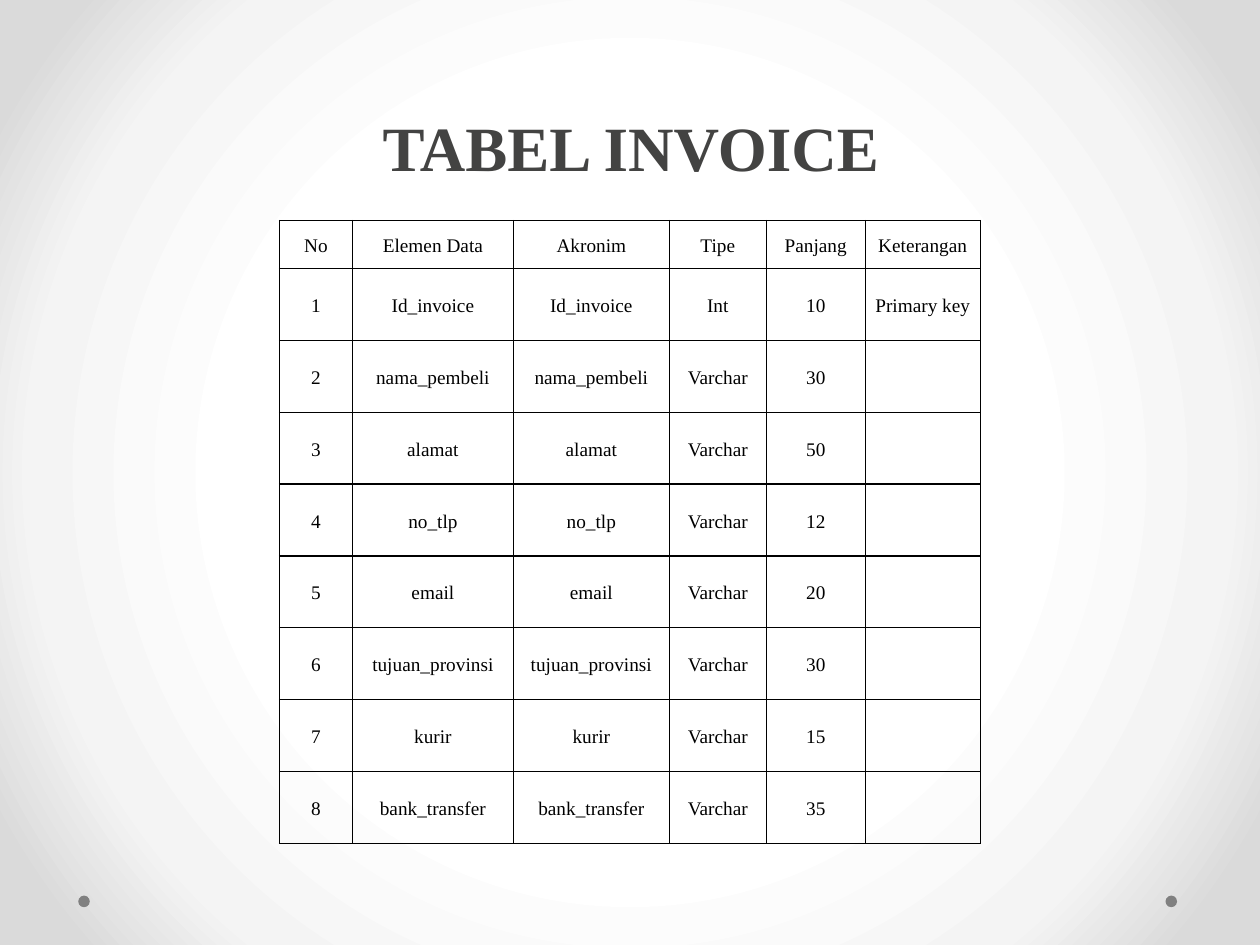
from pptx import Presentation
from pptx.dml.color import RGBColor
from pptx.enum.shapes import MSO_SHAPE
from pptx.enum.text import MSO_ANCHOR, PP_ALIGN
from pptx.oxml import parse_xml
from pptx.oxml.ns import nsdecls, qn
from pptx.util import Pt

BLACK = RGBColor(0x00, 0x00, 0x00)
DARK = RGBColor(0x43, 0x43, 0x42)
GRAY = RGBColor(0x80, 0x80, 0x80)
WHITE = RGBColor(0xFF, 0xFF, 0xFF)
PALE = RGBColor(0xF4, 0xF4, 0xF4)
SILVER = RGBColor(0xDA, 0xDA, 0xDA)

FIELDS = [
    ("Id_invoice", "Int", 10, "Primary key"),
    ("nama_pembeli", "Varchar", 30, ""),
    ("alamat", "Varchar", 50, ""),
    ("no_tlp", "Varchar", 12, ""),
    ("email", "Varchar", 20, ""),
    ("tujuan_provinsi", "Varchar", 30, ""),
    ("kurir", "Varchar", 15, ""),
    ("bank_transfer", "Varchar", 35, ""),
]
HEAD = ["No", "Elemen Data", "Akronim", "Tipe", "Panjang", "Keterangan"]
ROWS = [HEAD] + [
    [str(num), name, name, kind, str(size), note]
    for num, (name, kind, size, note) in enumerate(FIELDS, 1)
]
WIDTHS = [41.7, 92, 89.1, 55.4, 56.6, 65.7]
HEIGHTS = [27.4] + [41.1] * len(FIELDS)


class Painter:
    """Draw styled elements on the current slide."""

    font = "Times New Roman"

    def __init__(self, slide):
        self.slide = slide

    def backdrop(self, stops):
        self.slide.background.fill.gradient()
        old = self.slide.element.find(".//" + qn("a:gradFill"))
        marks = "".join(
            f'<a:gs pos="{pos * 1000}"><a:srgbClr val="{color}"/></a:gs>'
            for pos, color in stops
        )
        new = parse_xml(
            f'<a:gradFill {nsdecls("a")} rotWithShape="1"><a:gsLst>{marks}</a:gsLst>'
            '<a:path path="circle"><a:fillToRect l="50000" t="50000" r="50000" b="50000"/>'
            "</a:path></a:gradFill>"
        )
        old.getparent().replace(old, new)

    def dot(self, left, top, size):
        dot = self.slide.shapes.add_shape(
            MSO_SHAPE.OVAL, Pt(left), Pt(top), Pt(size), Pt(size)
        )
        dot.shadow.inherit = False
        dot.fill.solid()
        dot.fill.fore_color.rgb = GRAY
        dot.line.fill.background()

    def text(self, para, text, size, color, bold=False):
        para.alignment = PP_ALIGN.CENTER
        run = para.add_run()
        run.text = text
        font = run.font
        font.name, font.size, font.bold = self.font, Pt(size), bold
        font.color.rgb = color

    def title(self, text, left, top, width, height):
        box = self.slide.shapes.add_textbox(Pt(left), Pt(top), Pt(width), Pt(height))
        frame = box.text_frame
        frame.word_wrap = True
        frame.vertical_anchor = MSO_ANCHOR.BOTTOM
        para = frame.paragraphs[0]
        para.line_spacing = Pt(58)
        self.text(para, text, 36, DARK, True)

    def border(self, cell):
        props = cell._tc.get_or_add_tcPr()
        for side in "LRTB":
            props.append(parse_xml(
                f'<a:ln{side} {nsdecls("a")} w="{Pt(0.75)}"><a:solidFill>'
                f'<a:srgbClr val="{BLACK}"/></a:solidFill></a:ln{side}>'
            ))

    def cell(self, cell, text):
        self.border(cell)
        cell.fill.background()
        cell.vertical_anchor = MSO_ANCHOR.MIDDLE
        cell.margin_left = cell.margin_right = Pt(5.4)
        cell.margin_top = cell.margin_bottom = Pt(5)
        if text:
            para = cell.text_frame.paragraphs[0]
            para.line_spacing = 1.15
            para.space_after = Pt(7.2)
            self.text(para, text, 11, BLACK)

    def table(self, rows, left, top, widths, heights):
        table = self.slide.shapes.add_table(
            len(rows), len(widths), Pt(left), Pt(top), Pt(sum(widths)), Pt(sum(heights))
        ).table
        table.first_row = table.horz_banding = False
        for col, width in zip(table.columns, widths):
            col.width = Pt(width)
        for row, height, texts in zip(table.rows, heights, rows):
            row.height = Pt(height)
            for cell, text in zip(row.cells, texts):
                self.cell(cell, text)


def main():
    deck = Presentation()
    deck.slide_width, deck.slide_height = Pt(720), Pt(540)
    paint = Painter(deck.slides.add_slide(deck.slide_layouts[6]))
    paint.backdrop([(50, WHITE), (76, PALE), (92, SILVER)])
    for left in (666, 44.7):
        paint.dot(left, 511.8, 6.6)
    paint.title("TABEL INVOICE", 36.5, 31.7, 648, 77)
    paint.table(ROWS, 159.7, 126, WIDTHS, HEIGHTS)
    deck.save("out.pptx")


if __name__ == "__main__":
    main()
